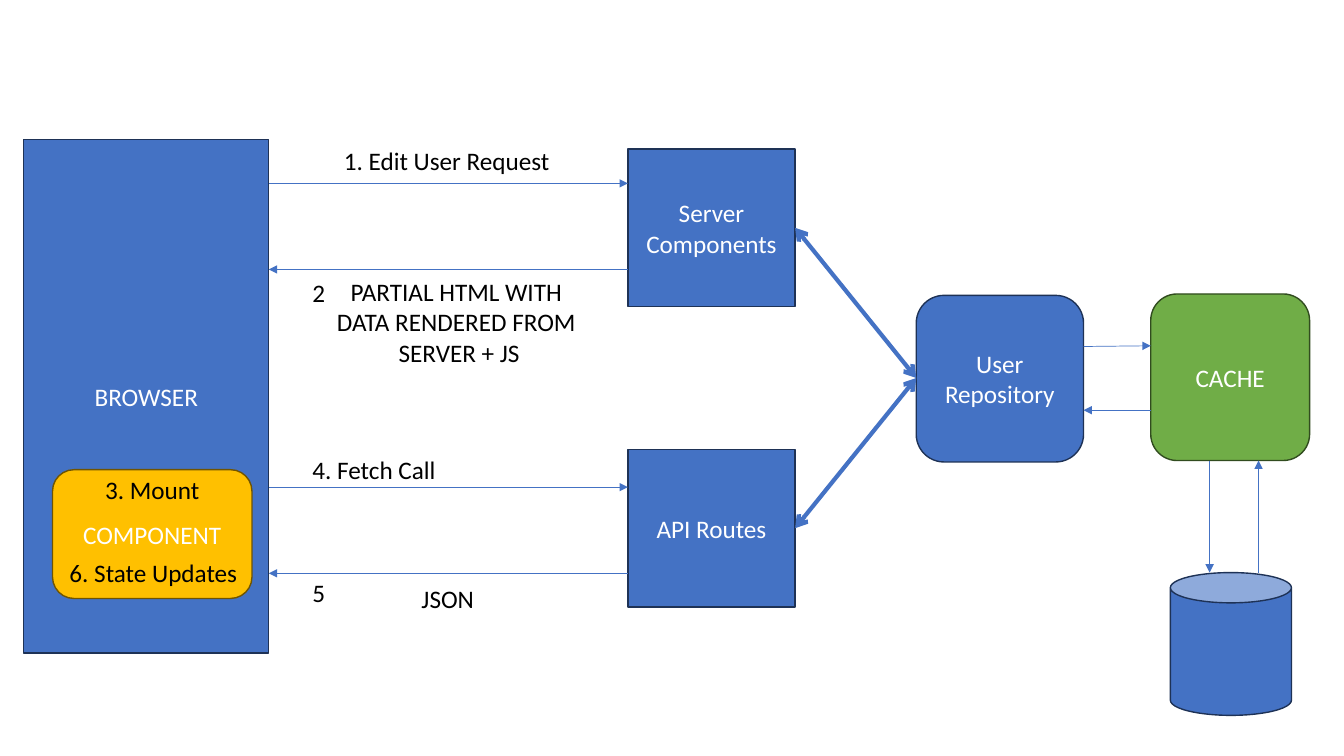
import pptx
import pptx.util
import pptx.dml.color
import pptx.enum.shapes
import pptx.enum.text
import pptx.oxml.ns
import lxml.etree

Pt = pptx.util.Pt
RGBColor = pptx.dml.color.RGBColor
KIND = pptx.enum.shapes.MSO_SHAPE
ALIGN = pptx.enum.text.PP_ALIGN
FIT = pptx.enum.text.MSO_AUTO_SIZE
MIDDLE = pptx.enum.text.MSO_ANCHOR.MIDDLE

BLUE = RGBColor(0x44, 0x72, 0xC4)
NAVY = RGBColor(0x1E, 0x32, 0x56)
GOLD = RGBColor(0xFF, 0xC0, 0x00)
BROWN = RGBColor(0x70, 0x54, 0x00)
GREEN = RGBColor(0x70, 0xAD, 0x47)
MOSS = RGBColor(0x31, 0x4C, 0x1F)
WHITE = RGBColor(0xFF, 0xFF, 0xFF)
BLACK = RGBColor(0x00, 0x00, 0x00)

FONT = {"name": "Calibri", "size": Pt(18)}

# Edges shared by boxes and arrows
BROWSER_R, ROUTE_L, ROUTE_R = 192, 448.5, 568
REPO_L, REPO_R, CACHE_L = 654.5, 774, 822
CACHE_B, STORE_T = 329, 409


def put(target, values):
    for name, value in values.items():
        setattr(target, name, value)


def write(frame, text, color, align):
    """Fill the frame with one paragraph for each line of text."""
    frame.text = text
    for para in frame.paragraphs:
        para.alignment = align
        put(para.font, FONT)
        para.font.color.rgb = color


def box(slide, kind, place, text="", fill=BLUE, edge=NAVY):
    shape = slide.shapes.add_shape(kind, *map(Pt, place))
    shape.shadow.inherit = False
    shape.fill.solid()
    shape.fill.fore_color.rgb = fill
    shape.line.color.rgb = edge
    shape.line.width = Pt(1)
    shape.text_frame.vertical_anchor = MIDDLE
    write(shape.text_frame, text, WHITE, ALIGN.CENTER)


def label(slide, place, text, align=ALIGN.LEFT):
    frame = slide.shapes.add_textbox(*map(Pt, place)).text_frame
    put(frame, {"word_wrap": False, "auto_size": FIT.SHAPE_TO_FIT_TEXT})
    write(frame, text, BLACK, align)


def arrow(slide, start, end, width=0.5, ends=None):
    """Draw a line; ends maps headEnd and tailEnd to arrowhead types."""
    straight = pptx.enum.shapes.MSO_CONNECTOR.STRAIGHT
    link = slide.shapes.add_connector(straight, *map(Pt, start + end))
    link.line.color.rgb = BLUE
    link.line.width = Pt(width)
    qn = pptx.oxml.ns.qn
    props = link._element.spPr
    for tag, kind in (ends or {"tailEnd": "triangle"}).items():
        tip = lxml.etree.SubElement(props.find(qn("a:ln")), qn("a:" + tag))
        tip.set("type", kind)
    lxml.etree.SubElement(props, qn("a:effectLst"))


def main():
    deck = pptx.Presentation()
    put(deck, {"slide_width": Pt(960), "slide_height": Pt(540)})
    slide = deck.slides.add_slide(deck.slide_layouts[6])

    box(slide, KIND.CAN, (836, STORE_T, 86.5, 102))
    box(slide, KIND.ROUNDED_RECTANGLE, (REPO_L, 211, REPO_R - REPO_L, 119),
        "User\nRepository")
    for top, name in ((106.5, "Server Components"), (321, "API Routes")):
        box(slide, KIND.RECTANGLE, (ROUTE_L, top, ROUTE_R - ROUTE_L, 112.5), name)
        arrow(slide, (ROUTE_R, top + 56.25), (REPO_L, 270), 3,
              {"headEnd": "arrow", "tailEnd": "arrow"})
    box(slide, KIND.RECTANGLE, (17, 99.5, BROWSER_R - 17, 367), "BROWSER")
    box(slide, KIND.ROUNDED_RECTANGLE, (37.5, 335.5, 142.5, 92), "COMPONENT",
        GOLD, BROWN)
    box(slide, KIND.ROUNDED_RECTANGLE, (CACHE_L, 210, 113.5, CACHE_B - 210), "CACHE",
        GREEN, MOSS)

    for top in (131, 348):
        arrow(slide, (BROWSER_R, top), (ROUTE_L, top))
        arrow(slide, (ROUTE_L, top + 61.5), (BROWSER_R, top + 61.5))
    arrow(slide, (REPO_R, 247.5), (CACHE_L, 247))
    arrow(slide, (CACHE_L, 293), (REPO_R, 293))
    arrow(slide, (864, CACHE_B), (864, STORE_T))
    arrow(slide, (899, STORE_T), (899, CACHE_B))

    for left, top, width, text in (
        (238.5, 100, 162.5, "1. Edit User Request"),
        (216, 194.5, 24, "2"),
        (68, 335.5, 83, "3. Mount"),
        (216, 321, 104, "4. Fetch Call"),
        (216, 409, 24, "5"),
        (42.5, 394.5, 135, "6. State Updates"),
        (294, 413, 52.5, "JSON"),
    ):
        label(slide, (left, top, width, 29), text)
    label(slide, (232.5, 194, 191, 72.5),
          "PARTIAL HTML WITH \nDATA RENDERED FROM \nSERVER + JS", ALIGN.CENTER)

    deck.save("out.pptx")


if __name__ == "__main__":
    main()
